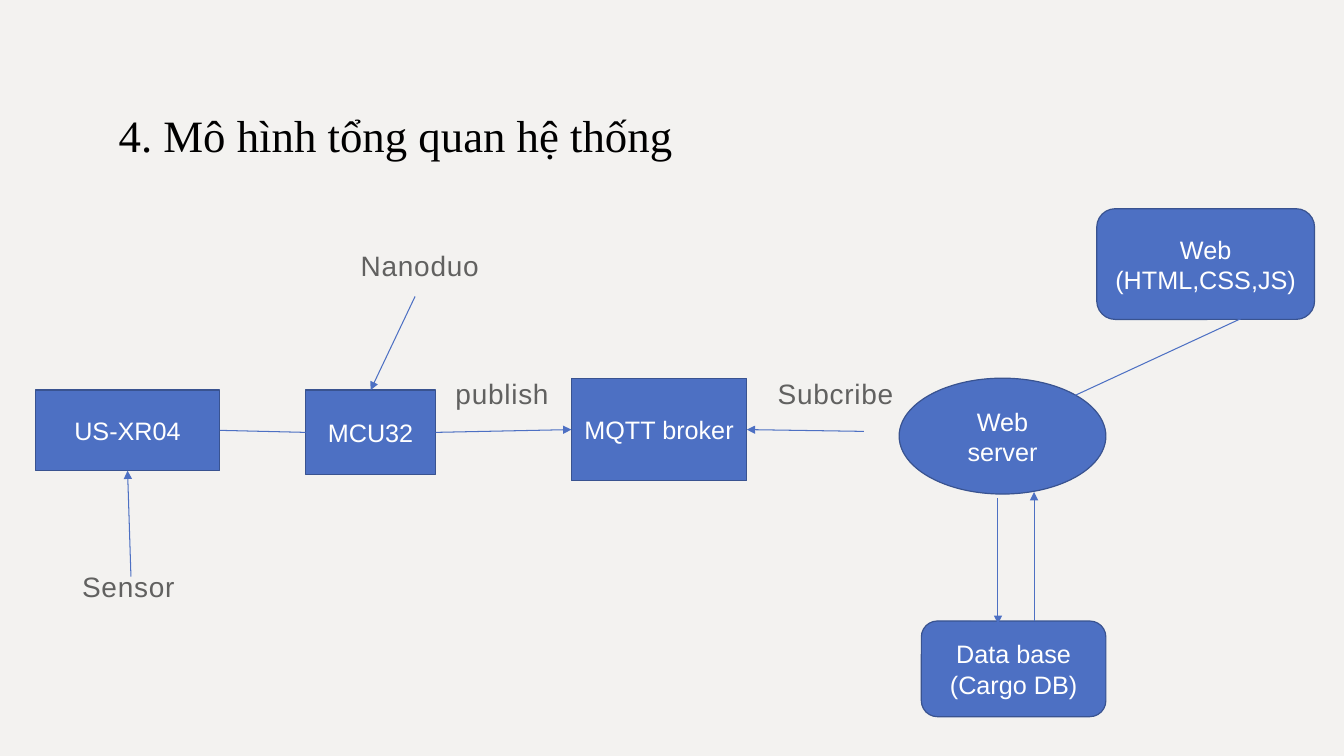
from pptx import Presentation
from pptx.dml.color import RGBColor
from pptx.enum.shapes import MSO_CONNECTOR, MSO_SHAPE
from pptx.enum.text import MSO_ANCHOR, PP_ALIGN
from pptx.oxml.ns import qn
from pptx.util import Cm, Pt
from lxml import etree

BACKGROUND = RGBColor(0xF3, 0xF2, 0xF0)
BLUE = RGBColor(0x4D, 0x70, 0xC3)
BORDER = RGBColor(0x39, 0x53, 0x90)
WHITE = RGBColor(0xFF, 0xFF, 0xFF)
BLACK = RGBColor(0, 0, 0)
GRAY = RGBColor(0x61, 0x61, 0x60)

RECT, OVAL = MSO_SHAPE.RECTANGLE, MSO_SHAPE.OVAL
ROUNDED = MSO_SHAPE.ROUNDED_RECTANGLE
STRAIGHT = MSO_CONNECTOR.STRAIGHT
MIDDLE, BOTTOM_ANCHOR = MSO_ANCHOR.MIDDLE, MSO_ANCHOR.BOTTOM
CENTER = PP_ALIGN.CENTER
TOP, LEFT, BOTTOM, RIGHT = range(4)

# Positions in cm from the diagram's top left corner
NODES = {
    "sensor": (RECT, 0, 4.57, 4.65, 2.03, ["US-XR04"]),
    "board": (RECT, 6.81, 4.57, 3.28, 2.13, ["MCU32"]),
    "broker": (RECT, 13.51, 4.27, 4.42, 2.59, ["MQTT broker"]),
    "server": (OVAL, 21.77, 4.27, 5.21, 2.92, ["Web server"]),
    "web": (ROUNDED, 26.75, 0, 5.49, 2.79, ["Web", "(HTML,CSS,JS)"]),
    "database": (ROUNDED, 22.33, 10.39, 4.65, 2.41,
                 ["Data base", "(Cargo DB)"]),
}
LABELS = [  # left, vertical middle, text
    (8.2, 1.42, "Nanoduo"),
    (10.59, 4.65, "publish"),
    (18.71, 4.65, "Subcribe"),
    (1.18, 9.52, "Sensor"),
]
LINKS = [  # each end is a point or a (node, side) pair; then arrowhead
    (("sensor", RIGHT), ("board", LEFT), False),
    (("board", RIGHT), ("broker", LEFT), True),
    ((20.88, 5.61), ("broker", RIGHT), True),
    ((26.21, 4.7), (30.38, 2.77), False),
    ((24.26, 7.29), (24.26, 10.46), True),
    ((25.17, 10.39), (25.17, 7.14), True),
    ((2.41, 9.27), ("sensor", BOTTOM), True),
    ((9.57, 2.21), ("board", TOP), True),
]


def style_text(p, name, size, color):
    p.font.name = name
    p.font.size = Pt(size)
    p.font.color.rgb = color


def add_text(s, left, top, width, height, text, anchor):
    tf = s.shapes.add_textbox(Cm(left), Cm(top), Cm(width), Cm(height)).text_frame
    tf.word_wrap = True
    tf.vertical_anchor = anchor
    tf.text = text
    return tf, tf.paragraphs[0]


def add_title(s, left, top, width, height):
    _, p = add_text(s, left, top, width, height,
                    "4. Mô hình tổng quan hệ thống", BOTTOM_ANCHOR)
    style_text(p, "Times New Roman", 32, BLACK)


def add_node(s, kind, left, top, width, height, lines):
    sp = s.shapes.add_shape(kind, Cm(left), Cm(top), Cm(width), Cm(height))
    sp.shadow.inherit = False
    sp.fill.solid()
    sp.fill.fore_color.rgb = BLUE
    sp.line.color.rgb = BORDER
    sp.line.width = Pt(0.85)
    tf = sp.text_frame
    tf.word_wrap = True
    tf.vertical_anchor = MIDDLE
    tf.text = "\n".join(lines)
    for p in tf.paragraphs:
        p.alignment = CENTER
        style_text(p, "Arial", 18, WHITE)
    return sp


def add_label(s, left, middle, text):
    tf, p = add_text(s, left, middle - 0.5, 3.4, 1, text, MIDDLE)
    tf.margin_left = tf.margin_right = 0
    style_text(p, "Arial", 20, GRAY)
    p.runs[0].font._element.set("spc", "50")


def add_link(s, left, top, start, end, arrow, nodes):
    line = s.shapes.add_connector(STRAIGHT, 0, 0, 0, 0)
    # Free ends first, so that joined ends keep their place
    if start[0] not in nodes:
        line.begin_x, line.begin_y = Cm(left + start[0]), Cm(top + start[1])
    if end[0] not in nodes:
        line.end_x, line.end_y = Cm(left + end[0]), Cm(top + end[1])
    if start[0] in nodes:
        line.begin_connect(nodes[start[0]], start[1])
    if end[0] in nodes:
        line.end_connect(nodes[end[0]], end[1])
    line.line.color.rgb = BLUE
    line.line.width = Pt(0.75)
    if arrow:
        ln = line.line._get_or_add_ln()
        etree.SubElement(ln, qn("a:tailEnd"), type="triangle")
    etree.SubElement(line._element.spPr, qn("a:effectLst"))


def add_diagram(s, left, top):
    for x, middle, text in LABELS:
        add_label(s, left + x, top + middle, text)
    nodes = {}
    for name, (kind, x, y, width, height, lines) in NODES.items():
        nodes[name] = add_node(s, kind, left + x, top + y, width, height, lines)
    for start, end, arrow in LINKS:
        add_link(s, left, top, start, end, arrow, nodes)


def main():
    prs = Presentation()
    prs.slide_width, prs.slide_height = Cm(33.87), Cm(19.05)
    s = prs.slides.add_slide(prs.slide_layouts[6])
    s.background.fill.solid()
    s.background.fill.fore_color.rgb = BACKGROUND
    add_title(s, 2.74, 1.09, 28.37, 3.1)
    add_diagram(s, 0.89, 5.26)
    prs.save("out.pptx")


if __name__ == "__main__":
    main()
